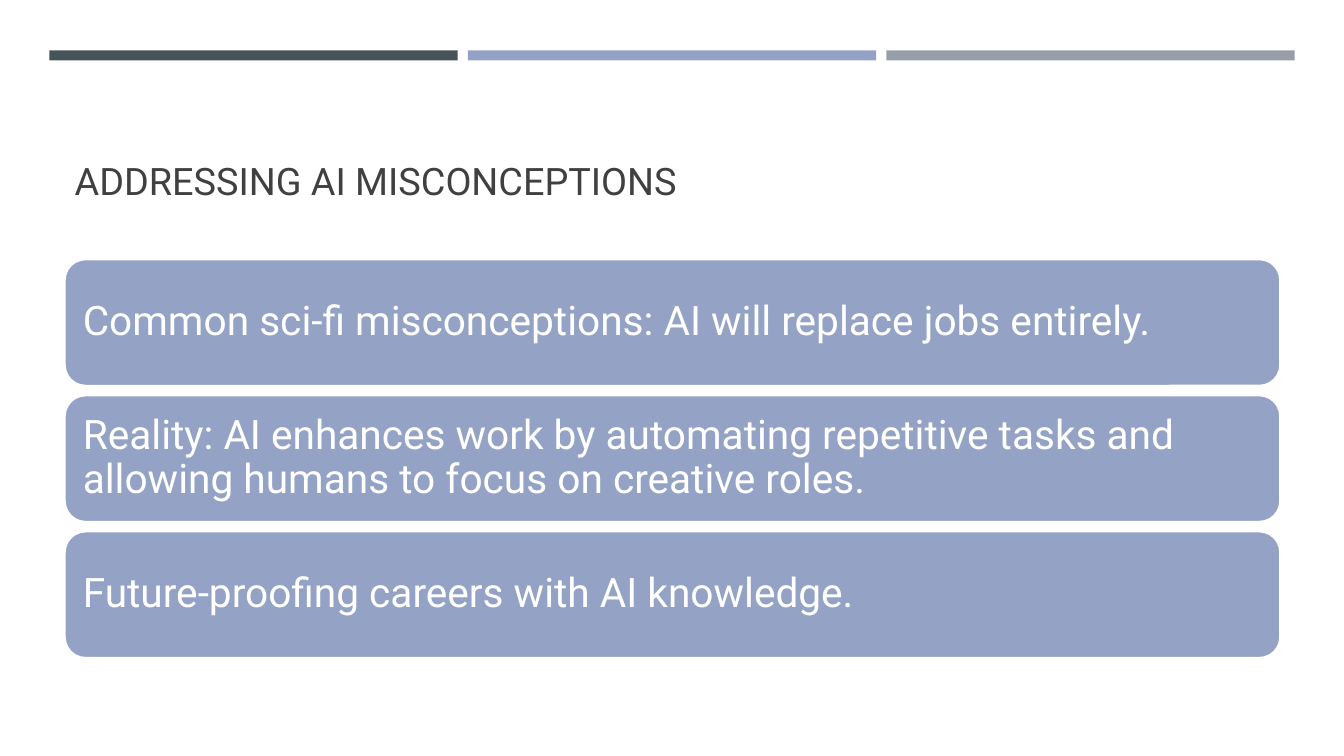
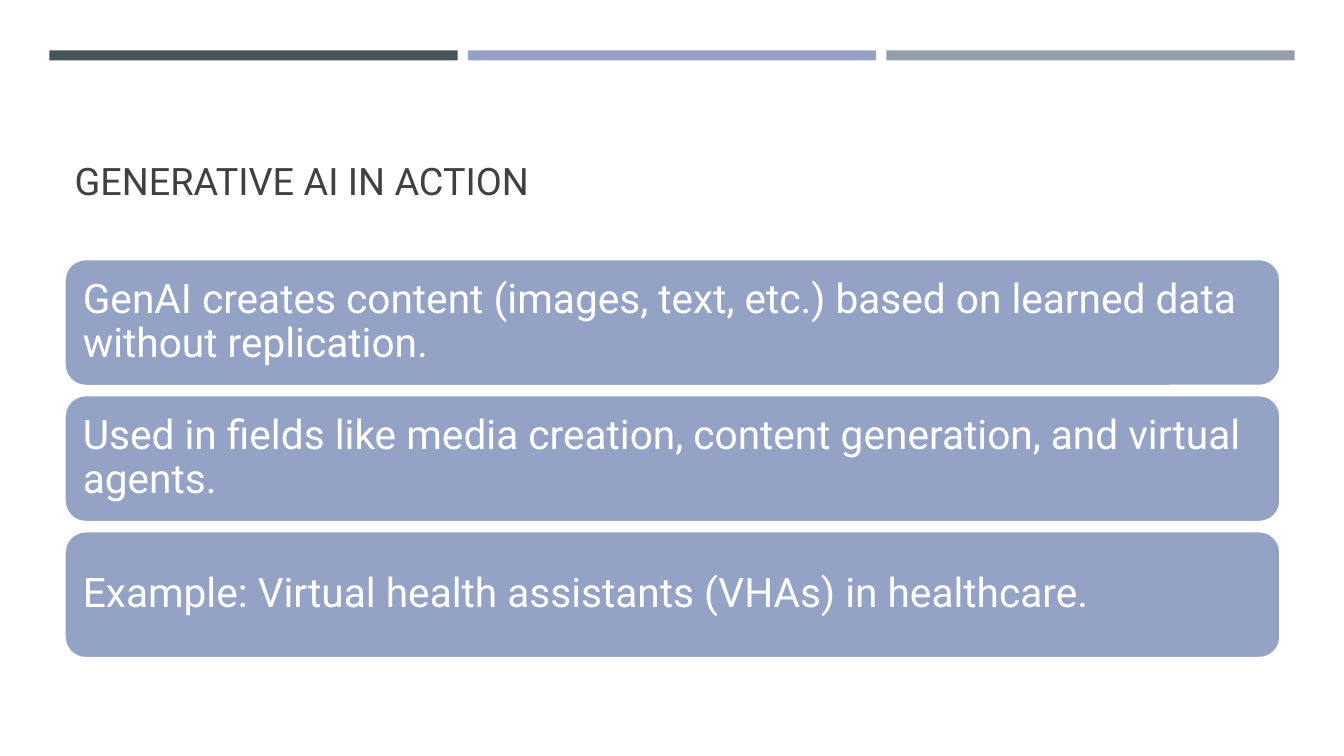
from dataclasses import dataclass

from pptx import Presentation
from pptx.dml.color import RGBColor
from pptx.enum import shapes, text
from pptx.util import Inches, Pt


@dataclass(frozen=True)
class Theme:
    font: str = "Roboto"
    title_size: int = 27
    card_size: int = 29
    line_spacing: float = 0.9
    title_color: str = "404040"
    card_color: str = "94A3C5"
    white: str = "FFFFFF"
    band_colors: tuple = ("465359", "94A3C5", "969FA7")


@dataclass(frozen=True)
class Box:
    left: float
    top: float
    width: float
    height: float

    def inches(self):
        return [Inches(value) for value in (self.left, self.top, self.width, self.height)]


THEME = Theme()
BANDS = Box(0.49, 0.5, 12.35, 0.1)
TITLE = Box(0.64, 0.77, 12.06, 1.3)
CARDS = Box(0.64, 2.57, 12.06, 3.96)
BAND_GAP = 0.1
CARD_GAP = 0.09

SLIDES = [
    ("ADDRESSING AI MISCONCEPTIONS", [
        "Common sci-fi misconceptions: AI will replace jobs entirely.",
        "Reality: AI enhances work by automating repetitive tasks and "
        "allowing humans to focus on creative roles.",
        "Future-proofing careers with AI knowledge.",
    ]),
    ("GENERATIVE AI IN ACTION", [
        "GenAI creates content (images, text, etc.) based on learned data "
        "without replication.",
        "Used in fields like media creation, content generation, and virtual agents.",
        "Example: Virtual health assistants (VHAs) in healthcare.",
    ]),
]


def split_columns(box, count, gap):
    width = (box.width - gap * (count - 1)) / count
    return [Box(box.left + i * (width + gap), box.top, width, box.height) for i in range(count)]


def split_rows(box, count, gap):
    height = (box.height - gap * (count - 1)) / count
    return [Box(box.left, box.top + i * (height + gap), box.width, height) for i in range(count)]


def add_filled_shape(slide, kind, box, color):
    shape = slide.shapes.add_shape(kind, *box.inches())
    shape.shadow.inherit = False
    shape.fill.solid()
    shape.fill.fore_color.rgb = RGBColor.from_string(color)
    shape.line.fill.background()
    return shape


def write_text(shape, content, size, color, anchor):
    frame = shape.text_frame
    frame.text = content
    frame.word_wrap = True
    frame.auto_size = text.MSO_AUTO_SIZE.NONE
    frame.vertical_anchor = anchor
    paragraph = frame.paragraphs[0]
    paragraph.alignment = text.PP_ALIGN.LEFT
    paragraph.line_spacing = THEME.line_spacing
    paragraph.font.name = THEME.font
    paragraph.font.size = Pt(size)
    paragraph.font.color.rgb = RGBColor.from_string(color)
    return frame


def add_bands(slide, box):
    columns = split_columns(box, len(THEME.band_colors), BAND_GAP)
    for column, color in zip(columns, THEME.band_colors):
        add_filled_shape(slide, shapes.MSO_SHAPE.RECTANGLE, column, color)


def place_title(slide, box, content):
    title = slide.shapes.title
    title.left, title.top, title.width, title.height = box.inches()
    write_text(title, content, THEME.title_size, THEME.title_color, text.MSO_ANCHOR.BOTTOM)


def add_cards(slide, box, statements):
    for row, statement in zip(split_rows(box, len(statements), CARD_GAP), statements):
        card = add_filled_shape(slide, shapes.MSO_SHAPE.ROUNDED_RECTANGLE, row, THEME.card_color)
        card.line.color.rgb = RGBColor.from_string(THEME.white)
        card.line.width = Pt(1.75)
        frame = write_text(card, statement, THEME.card_size, THEME.white, text.MSO_ANCHOR.MIDDLE)
        frame.margin_left = frame.margin_right = Inches(0.12)
        frame.margin_top = frame.margin_bottom = Inches(0.12)


def add_card_slide(presentation, title, statements):
    slide = presentation.slides.add_slide(presentation.slide_layouts[5])
    add_bands(slide, BANDS)
    place_title(slide, TITLE, title)
    add_cards(slide, CARDS, statements)


def main():
    presentation = Presentation()
    presentation.slide_width = Inches(13.33)
    presentation.slide_height = Inches(7.5)
    for title, statements in SLIDES:
        add_card_slide(presentation, title, statements)
    presentation.save("out.pptx")


if __name__ == "__main__":
    main()
